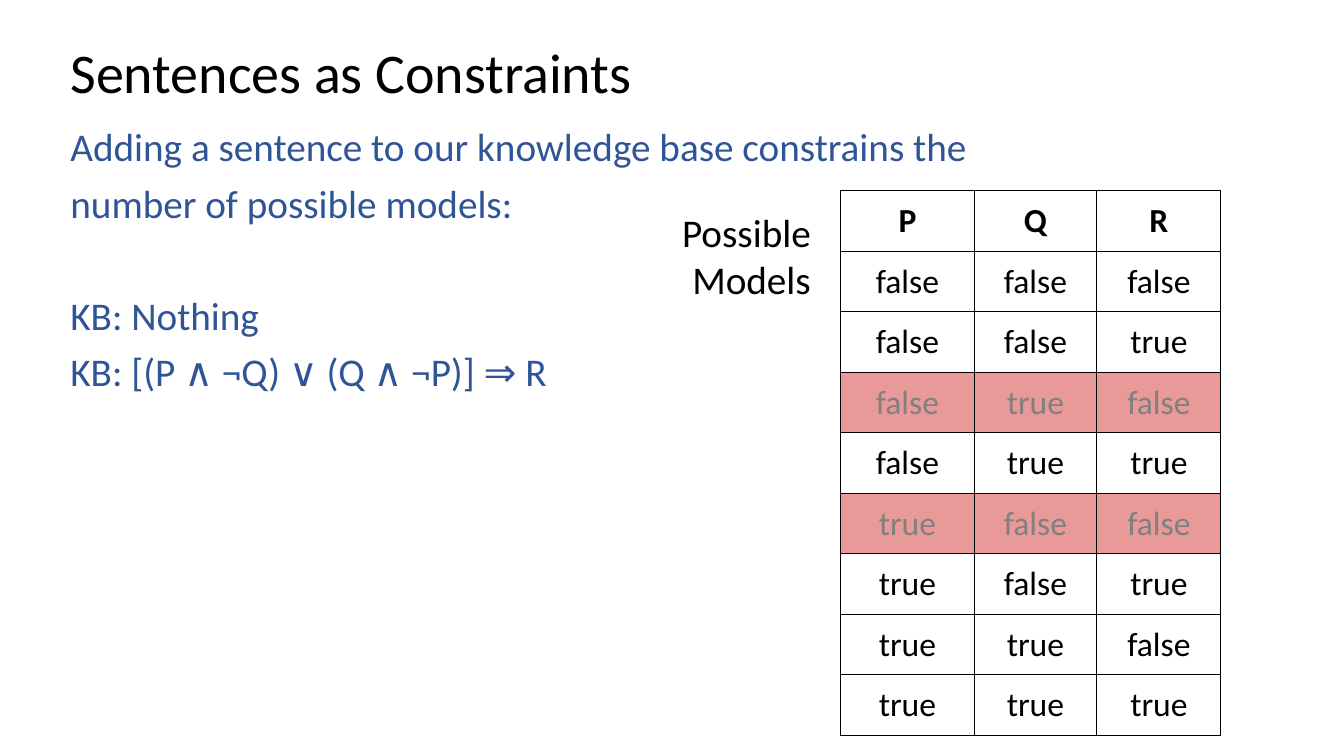
"""Build the slide on sentences as constraints, with its truth table."""
import itertools

import lxml.etree
import pptx
import pptx.dml.color
import pptx.enum.text
import pptx.oxml.ns
import pptx.util

COLORS = {"black": "000000", "blue": "2F5597", "grey": "808080", "red": "EA9999"}
ALIGN = pptx.enum.text.PP_ALIGN
ANCHOR = pptx.enum.text.MSO_ANCHOR

deck = pptx.Presentation()
deck.slide_width = pptx.util.Inches(13.33)
deck.slide_height = pptx.util.Inches(7.5)
page = deck.slides.add_slide(deck.slide_layouts[6])


def write(para, text, size=28, color="black", bold=False, align=ALIGN.LEFT, spacing=1.0, before=0):
    """Put formatted text into a paragraph."""
    para.alignment = align
    para.line_spacing = spacing
    para.space_before = pptx.util.Pt(before)
    span = para.add_run()
    span.text = text
    span.font.name = "Calibri"
    span.font.size = pptx.util.Pt(size)
    span.font.bold = bold
    span.font.color.rgb = pptx.dml.color.RGBColor.from_string(COLORS[color])


blocks = [
    ((0.6, 0.4, 11.5, 0.69), 0.05, ANCHOR.MIDDLE, {"size": 40, "spacing": 0.9},
     [("Sentences as Constraints", 0)]),
    ((0.6, 1.22, 9.92, 2.23), 0.05, ANCHOR.TOP, {"color": "blue", "spacing": 0.9},
     [("Adding a sentence to our knowledge base constrains the", 0),
      ("number of possible models:", 10),
      ("KB: Nothing", 50),
      ("KB: [(P ∧ ¬Q) ∨ (Q ∧ ¬P)] ⇒ R", 10)]),
    ((5.74, 1.97, 2.4, 1.61), 0.1, ANCHOR.TOP, {"align": ALIGN.RIGHT},
     [("Possible", 0), ("Models", 0)]),
]
for place, inset, anchor, style, lines in blocks:
    frame = page.shapes.add_textbox(*map(pptx.util.Inches, place)).text_frame
    frame.word_wrap = True
    frame.vertical_anchor = anchor
    frame.margin_top = frame.margin_bottom = pptx.util.Inches(inset)
    for index, (text, before) in enumerate(lines):
        para = frame.add_paragraph() if index else frame.paragraphs[0]
        write(para, text, before=before, **style)

models = list(itertools.product([False, True], repeat=3))
widths = [1.32, 1.22, 1.23]
row_height = 0.54
row_count = len(models) + 1
table = page.shapes.add_table(
    row_count, len(widths), pptx.util.Inches(8.34), pptx.util.Inches(1.89),
    pptx.util.Inches(sum(widths)), pptx.util.Inches(row_height * row_count)).table
table.first_row = False
table.horz_banding = False
for column, width in zip(table.columns, widths):
    column.width = pptx.util.Inches(width)

rows = [(["P", "Q", "R"], False)]
for p, q, r in models:
    rows.append((["true" if value else "false" for value in (p, q, r)], p != q and not r))

for row_index, (texts, excluded) in enumerate(rows):
    for column_index, text in enumerate(texts):
        cell = table.cell(row_index, column_index)
        cell.margin_left = cell.margin_right = pptx.util.Inches(0.1)
        cell.margin_top = cell.margin_bottom = pptx.util.Inches(0.1)
        write(cell.text_frame.paragraphs[0], text, size=24, bold=row_index == 0,
              color="grey" if excluded else "black", align=ALIGN.CENTER)
        if excluded:
            cell.fill.solid()
            cell.fill.fore_color.rgb = pptx.dml.color.RGBColor.from_string(COLORS["red"])
        else:
            cell.fill.background()
        properties = cell._tc.get_or_add_tcPr()
        for position, side in enumerate(["lnL", "lnR", "lnT", "lnB"]):
            border = lxml.etree.Element(pptx.oxml.ns.qn(f"a:{side}"), w=str(pptx.util.Pt(0.75)))
            fill = lxml.etree.SubElement(border, pptx.oxml.ns.qn("a:solidFill"))
            lxml.etree.SubElement(fill, pptx.oxml.ns.qn("a:srgbClr"), val=COLORS["black"])
            properties.insert(position, border)

deck.save("out.pptx")
